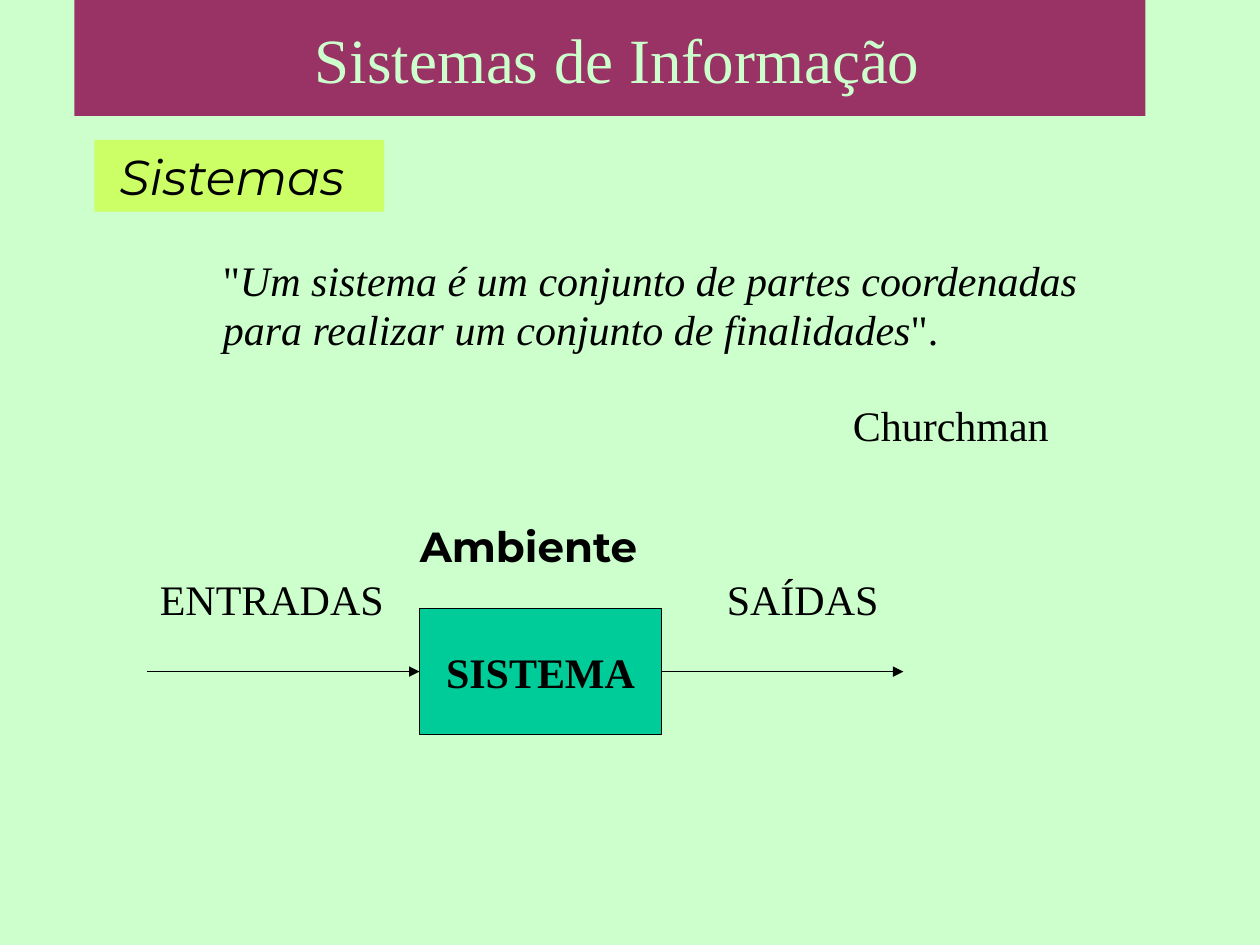
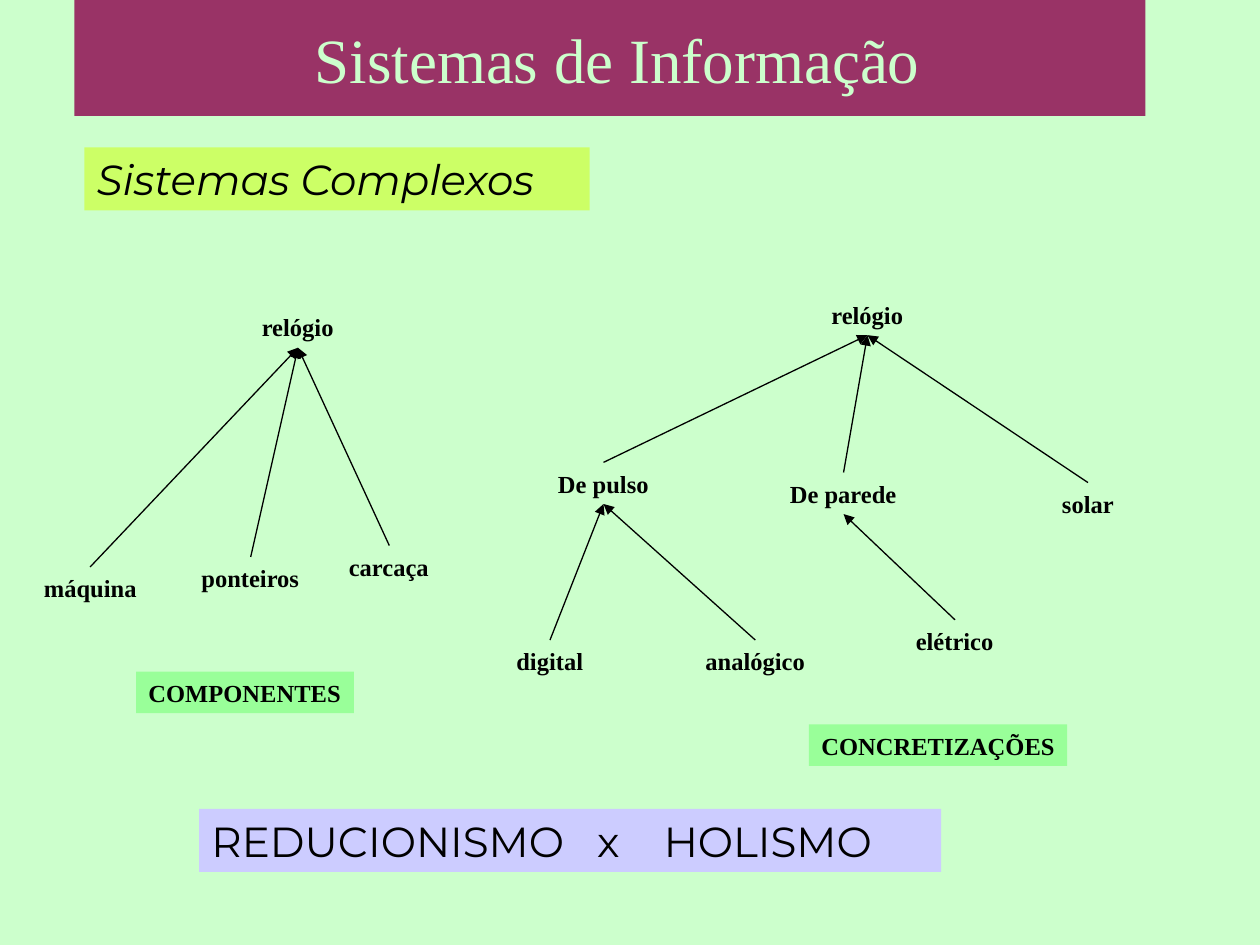
"""Build two slides on systems: a definition with its diagram, and two trees of a clock."""
from lxml import etree
from pptx import Presentation
from pptx.dml.color import RGBColor
from pptx.enum.shapes import MSO_CONNECTOR as CONN, MSO_SHAPE as SHAPE
from pptx.enum.text import MSO_ANCHOR as ANCHOR, MSO_AUTO_SIZE as AUTO, PP_ALIGN as ALIGN
from pptx.oxml.ns import qn
from pptx.util import Inches, Pt

rgb = RGBColor.from_string
BLACK, PALE, BAND, LIME = "000000", "CCFFCC", "993366", "CCFF66"
TEAL, GREEN, LILAC = "00CC99", "99FF99", "CCCCFF"
SERIF, SANS = "Times New Roman", "Montserrat"


def add_label(s, text, box, size=24, fill=None, font=SERIF, bold=False, **frame):
    """Add a text box, or a filled rectangle; parts between asterisks are italic."""
    box = [Inches(v) for v in box]
    if fill:
        sp = s.shapes.add_shape(SHAPE.RECTANGLE, *box)
        sp.shadow.inherit = False
        sp.fill.solid()
        sp.fill.fore_color.rgb = rgb(fill)
        sp.line.fill.background()
    else:
        sp = s.shapes.add_textbox(*box)
    tf = sp.text_frame
    settings = {"word_wrap": False, "auto_size": AUTO.SHAPE_TO_FIT_TEXT,
                "vertical_anchor": ANCHOR.TOP, **frame}
    for name, value in settings.items():
        setattr(tf, name, value)
    for n, line in enumerate(text.split("\n")):
        p = tf.add_paragraph() if n else tf.paragraphs[0]
        p.alignment = ALIGN.LEFT
        for i, part in enumerate(line.split("*")):
            if part:
                r = p.add_run()
                r.text = part
                r.font.color.rgb = rgb(BLACK)
                values = {"name": font, "size": Pt(size), "bold": bold, "italic": i % 2 == 1}
                for name, value in values.items():
                    setattr(r.font, name, value)
    return sp


def add_arrow(s, x1, y1, x2, y2):
    """Add a thin black arrow between two points."""
    c = s.shapes.add_connector(CONN.STRAIGHT, *[Inches(v) for v in (x1, y1, x2, y2)])
    c.line.color.rgb = rgb(BLACK)
    c.line.width = Pt(0.75)
    etree.SubElement(c.line._get_or_add_ln(), qn("a:tailEnd"), type="triangle")
    etree.SubElement(c._element.spPr, qn("a:effectLst"))
    return c


prs = Presentation()
prs.slide_width, prs.slide_height = Inches(10), Inches(7.5)
bg = prs.slide_master.background.fill
bg.solid()
bg.fore_color.rgb = rgb(PALE)

slides = [prs.slides.add_slide(prs.slide_layouts[5]) for _ in range(2)]
for s in slides:
    title = s.shapes.title
    place = {"left": 0.59, "top": 0, "width": 8.5, "height": 0.92}
    for name, value in place.items():
        setattr(title, name, Inches(value))
    title.fill.solid()
    title.fill.fore_color.rgb = rgb(BAND)
    tf = title.text_frame
    tf.text = "Sistemas de Informação"
    settings = {"word_wrap": True, "auto_size": AUTO.NONE,
                "vertical_anchor": ANCHOR.MIDDLE, "margin_left": Inches(0.22)}
    for name, value in settings.items():
        setattr(tf, name, value)
    p = tf.paragraphs[0]
    p.alignment = ALIGN.CENTER
    f = p.runs[0].font
    f.name, f.size = SERIF, Pt(36)
    f.color.rgb = rgb(PALE)

s = slides[0]
add_label(s, "*Sistemas*", (0.75, 1.11, 2.3, 0.57), 28, LIME, SANS, margin_left=Inches(0.2))
quote = add_label(s, '"*Um sistema é um conjunto de partes coordenadas*\n'
                     '*para realizar um conjunto de finalidades*".\nChurchman',
                  (1.67, 2, 7.08, 1.64), word_wrap=True)
for p in quote.text_frame.paragraphs:
    p.line_spacing = 0.96
p.space_before = Pt(27.5)
p._p.get_or_add_pPr().set("marL", str(Inches(5)))

system = add_label(s, "SISTEMA", (3.33, 4.83, 1.92, 1), fill=TEAL, bold=True,
                   auto_size=AUTO.NONE, vertical_anchor=ANCHOR.MIDDLE)
system.line.color.rgb = rgb(BLACK)
system.line.width = Pt(0.75)
add_label(s, "ENTRADAS", (1.17, 4.5, 1.98, 0.5))
add_label(s, "SAÍDAS", (5.67, 4.5, 1.41, 0.5))
environment = add_label(s, "Ambiente", (3.33, 4.08, 1.73, 0.32), font=SANS, bold=True,
                        auto_size=AUTO.NONE)
for sp in (system, environment):
    sp.text_frame.paragraphs[0].alignment = ALIGN.CENTER
for x1, x2 in ((1.17, 3.33), (5.25, 7.17)):
    add_arrow(s, x1, 5.33, x2, 5.33)

s = slides[1]
add_label(s, "*Sistemas Complexos*", (0.67, 1.17, 4.01, 0.5), fill=LIME, font=SANS)
contrast = add_label(s, "REDUCIONISMO\tx\tHOLISMO", (1.58, 6.42, 5.89, 0.5),
                     fill=LILAC, font=SANS, word_wrap=True)
tabs = etree.SubElement(contrast.text_frame.paragraphs[0]._p.get_or_add_pPr(), qn("a:tabLst"))
for stop in (3.06, 3.59):
    etree.SubElement(tabs, qn("a:tab"), pos=str(Inches(stop)), algn="l")

add_label(s, "COMPONENTES", (1.08, 5.33, 1.73, 0.33), 14, GREEN, bold=True,
          margin_right=Inches(0.05))
add_label(s, "CONCRETIZAÇÕES", (6.42, 5.75, 2.05, 0.33), 14, GREEN, bold=True,
          margin_right=Inches(0.05))

NODE_H = 0.33
parts = [("relógio", 1.98, 2.43, 0.77, None), ("máquina", 0.25, 4.5, 0.93, "relógio"),
         ("ponteiros", 1.5, 4.42, 0.98, "relógio"), ("carcaça", 2.67, 4.33, 0.84, "relógio")]
kinds = [("relógio", 6.5, 2.33, 0.77, None), ("De pulso", 4.33, 3.67, 0.92, "relógio"),
         ("De parede", 6.17, 3.75, 1.05, "relógio"), ("solar", 8.33, 3.83, 0.61, "relógio"),
         ("digital", 4, 5.08, 0.73, "De pulso"), ("analógico", 5.5, 5.08, 0.99, "De pulso"),
         ("elétrico", 7.17, 4.92, 0.82, "De parede")]
for tree in (parts, kinds):
    nodes = {}
    for name, x, y, w, parent in tree:
        sp = add_label(s, name, (x, y, w, NODE_H), 14, bold=True, margin_right=Inches(0.05))
        nodes[name] = sp, x + w / 2, y + NODE_H
        if parent:
            parent_sp, parent_x, parent_y = nodes[parent]
            c = add_arrow(s, x + w / 2, y, parent_x, parent_y)
            c.begin_connect(sp, 0)
            c.end_connect(parent_sp, 2)

prs.save("out.pptx")
